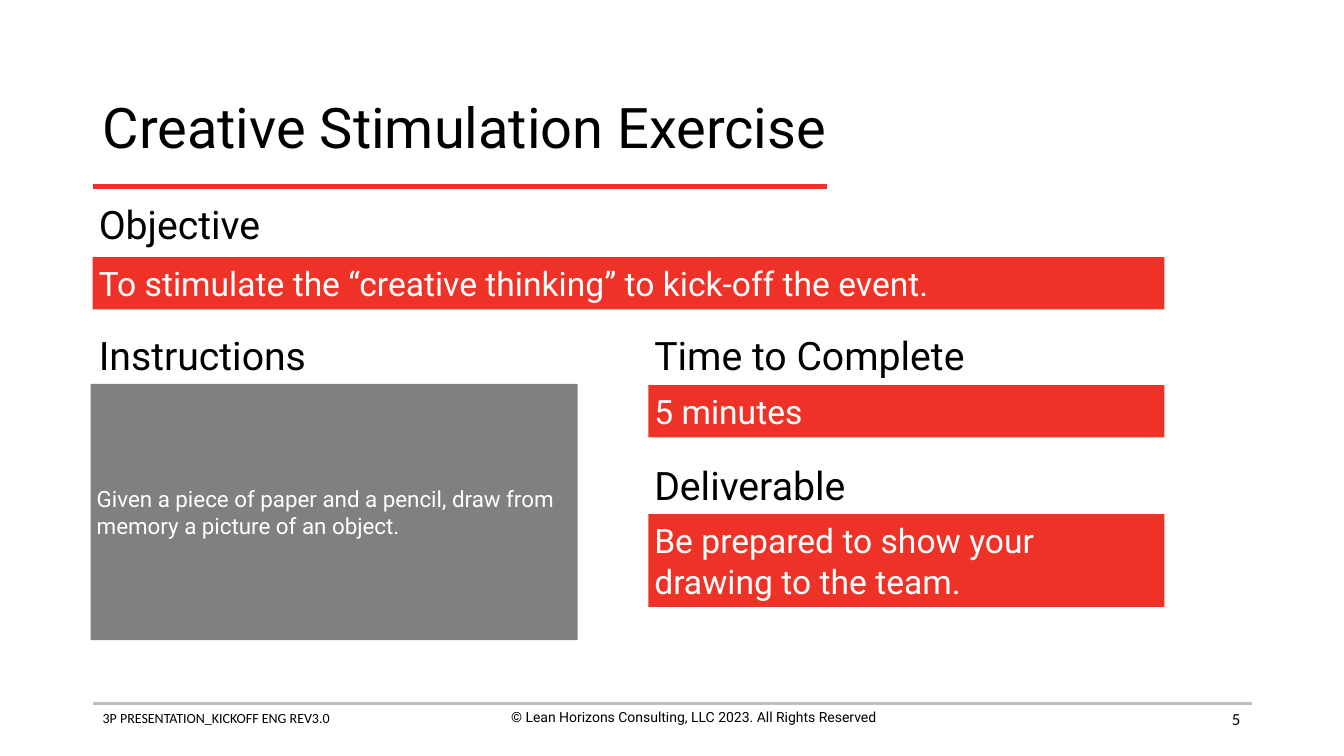
from pptx import Presentation
from pptx.dml.color import RGBColor
from pptx.enum.shapes import MSO_CONNECTOR as Connector, MSO_SHAPE as Shape
from pptx.enum.text import MSO_ANCHOR as Anchor, PP_ALIGN as Align
from pptx.oxml.xmlchemy import OxmlElement
from pptx.util import Pt

PX = 9144
SLIDE_WIDTH, SLIDE_HEIGHT = 1333, 750
RED, GRAY, RULE_GRAY = "EE3228", "808080", "BFBFBF"
BLACK, WHITE = "000000", "FFFFFF"
HEADING_HEIGHT = 58


def color(value):
    return RGBColor.from_string(value)


def to_emu(*lengths):
    return [length * PX for length in lengths]


def write_text(shape, text, size, ink=BLACK, font="Roboto", align=Align.LEFT,
               anchor=Anchor.TOP, wrap=True, insets=(10, 5), spacing=None):
    frame = shape.text_frame
    across, down = to_emu(*insets)
    frame_format = {
        "word_wrap": wrap, "vertical_anchor": anchor,
        "margin_left": across, "margin_right": across,
        "margin_top": down, "margin_bottom": down,
    }
    for name, value in frame_format.items():
        setattr(frame, name, value)
    paragraph = frame.paragraphs[0]
    paragraph.alignment = align
    paragraph.line_spacing = spacing
    run = paragraph.add_run()
    run.text = text
    for name, value in {"name": font, "size": Pt(size)}.items():
        setattr(run.font, name, value)
    run.font.color.rgb = color(ink)


def add_text(slide, box, text, size, **text_format):
    shape = slide.shapes.add_textbox(*to_emu(*box))
    write_text(shape, text, size, **text_format)


def add_rule(slide, left, top, width, ink, weight):
    rule = slide.shapes.add_connector(
        Connector.STRAIGHT, *to_emu(left, top, left + width, top))
    rule.line.color.rgb = color(ink)
    rule.line.width = Pt(weight)
    rule._element.spPr.append(OxmlElement("a:effectLst"))


def add_panel(slide, box, text, fill, size):
    panel = slide.shapes.add_shape(Shape.RECTANGLE, *to_emu(*box))
    panel.shadow.inherit = False
    panel.fill.solid()
    panel.fill.fore_color.rgb = color(fill)
    panel.line.fill.background()
    write_text(panel, text, size, ink=WHITE, anchor=Anchor.MIDDLE, insets=(6, 6))


def add_title(slide, box, text):
    left, top, width, height = box
    add_text(slide, box, text, 40, anchor=Anchor.MIDDLE, spacing=0.9)
    add_rule(slide, left, top + height + 1, 728, RED, 3)


def add_section(slide, box, heading, heading_width, text,
                fill=RED, size=24, gap=0, outdent=0):
    left, top, width, height = box
    add_text(slide, (left, top, heading_width, HEADING_HEIGHT), heading, 28,
             wrap=False, insets=(6, 6))
    offset = HEADING_HEIGHT + gap
    panel_box = (left - outdent, top + offset, width, height - offset)
    add_panel(slide, panel_box, text, fill, size)


def add_footer(slide, box):
    left, top, width, height = box
    add_rule(slide, left, top, width, RULE_GRAY, 2)
    add_text(slide, (left, top + 1, 456, height),
             "3P PRESENTATION_KICKOFF ENG REV3.0", 10, font="Calibri")
    add_text(slide, (left + 368, top, 456, height),
             "© Lean Horizons Consulting, LLC 2023. All Rights Reserved", 10,
             align=Align.CENTER)
    add_text(slide, (left + width - 302, top - 5, 300, 40), "5", 12,
             font="Calibri", align=Align.RIGHT, anchor=Anchor.MIDDLE)


def build_exercise_slide(presentation):
    slide = presentation.slides.add_slide(presentation.slide_layouts[6])
    left, right_column = 92, 643
    add_footer(slide, (left, 698, 1150, 44))
    add_title(slide, (left, 74, 1150, 110), "Creative Stimulation Exercise")
    add_section(slide, (left, 193, 1063, 114), "Objective", 175,
                "To stimulate the “creative thinking” to kick-off the event.", gap=4)
    add_section(slide, (left, 323, 483, 312), "Instructions", 221,
                "Given a piece of paper and a pencil, draw from memory "
                "a picture of an object.", fill=GRAY, size=16, outdent=2)
    add_section(slide, (right_column, 323, 512, 111), "Time to Complete", 325,
                "5 minutes", gap=1)
    add_section(slide, (right_column, 452, 512, 150), "Deliverable", 207,
                "Be prepared to show your drawing to the team.")


def main():
    presentation = Presentation()
    presentation.slide_width, presentation.slide_height = to_emu(SLIDE_WIDTH, SLIDE_HEIGHT)
    build_exercise_slide(presentation)
    presentation.save("out.pptx")


if __name__ == "__main__":
    main()
